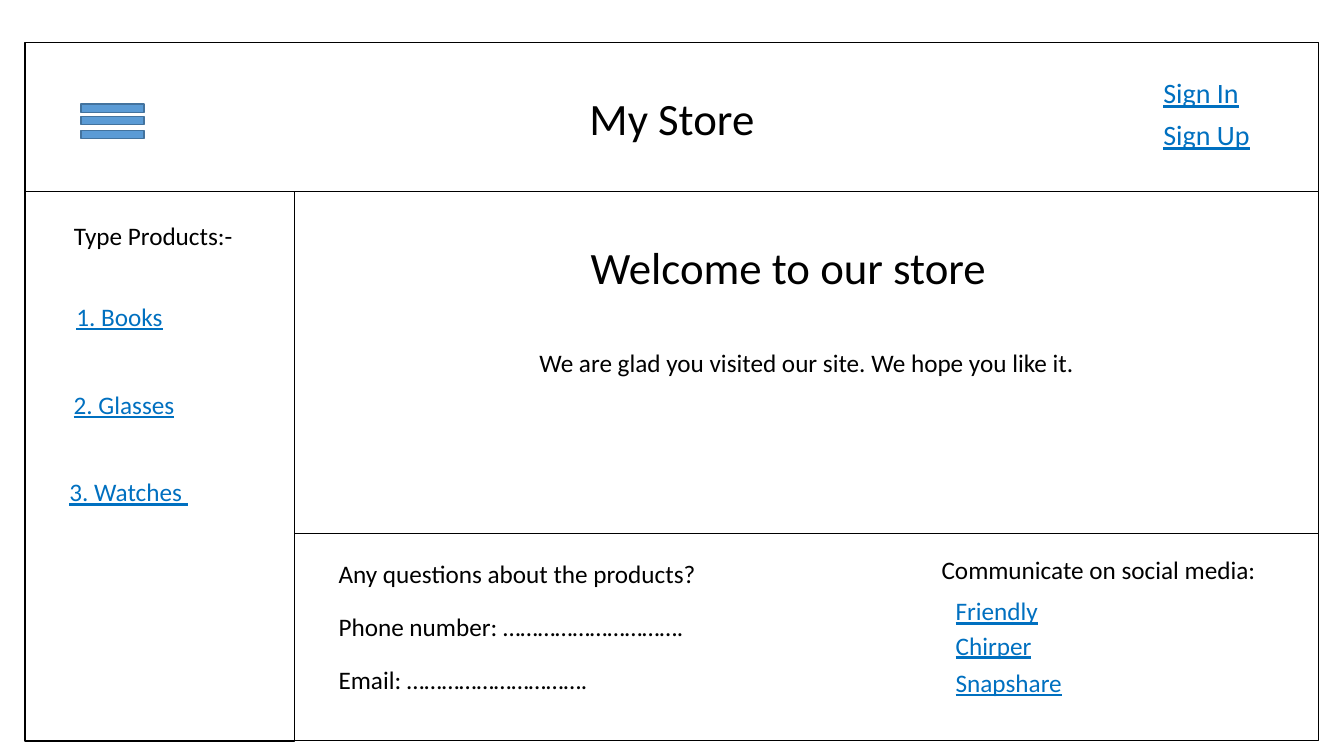
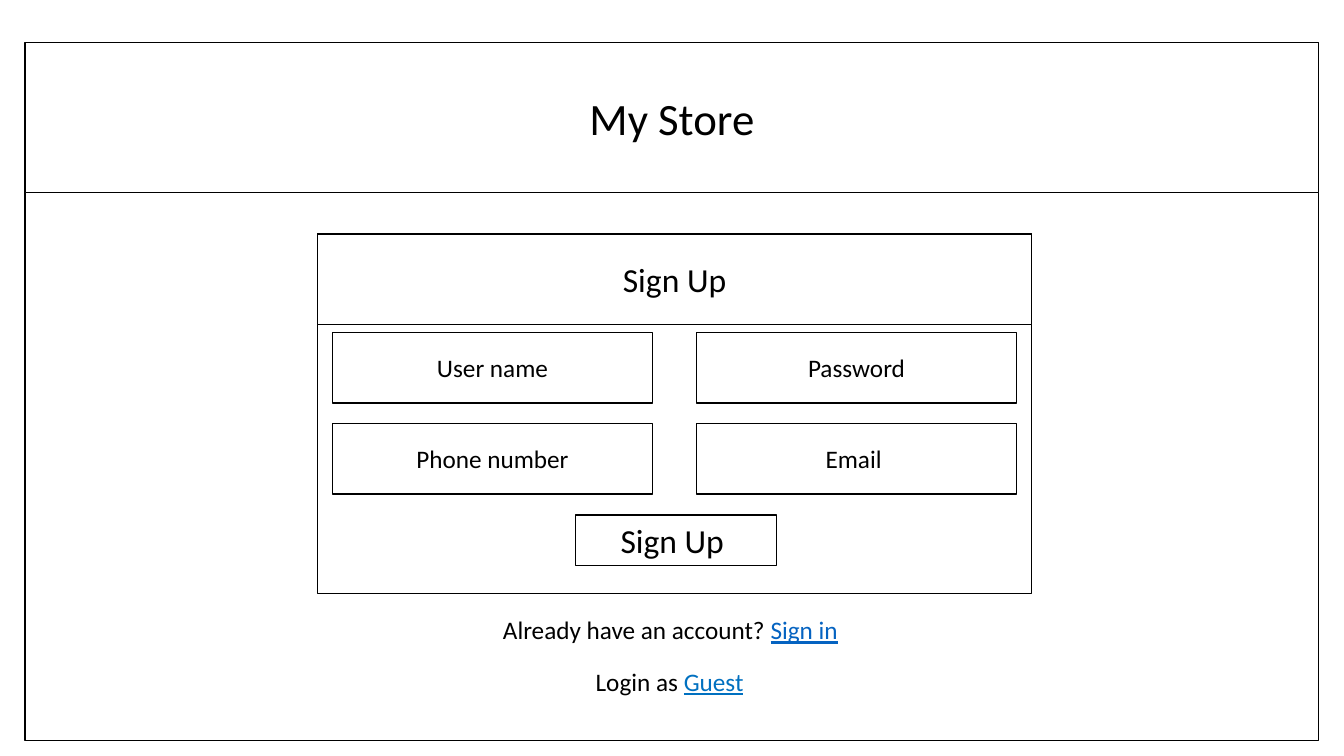
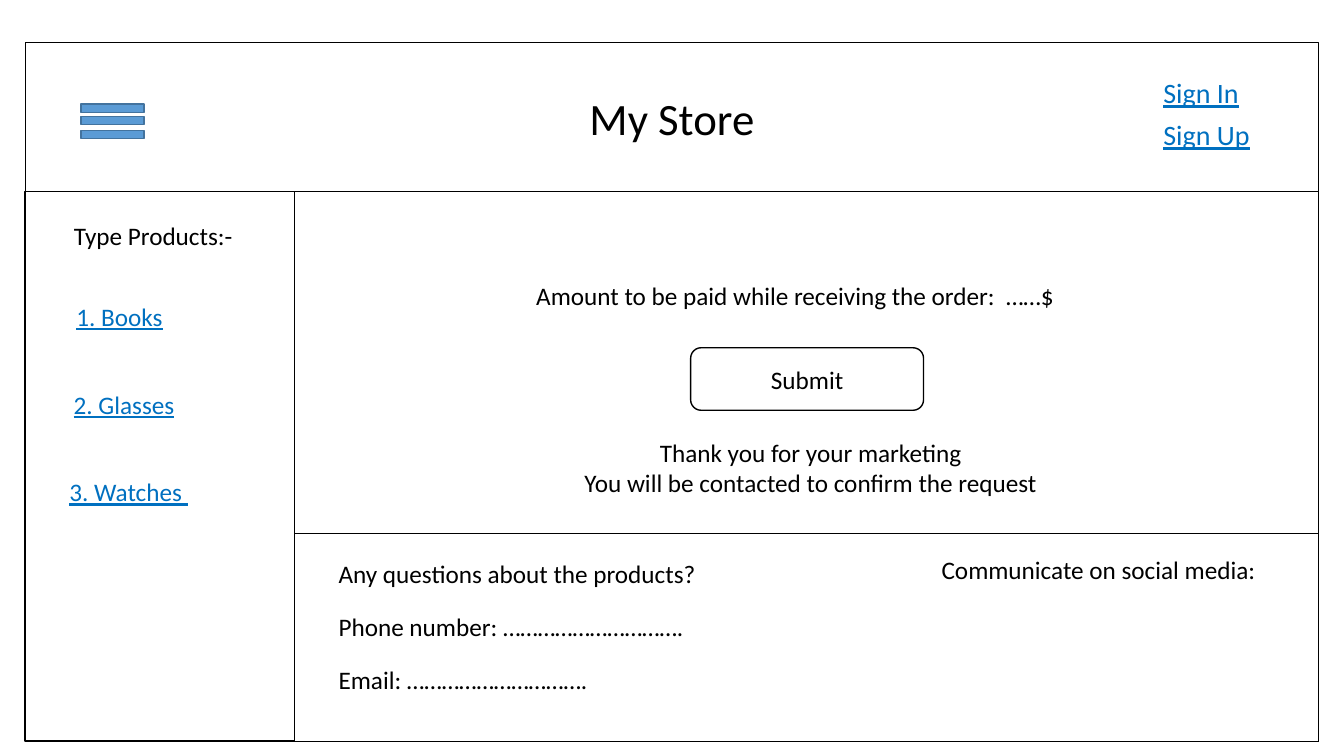
import pptx
import pptx.util
import pptx.dml.color
import pptx.enum.shapes
import pptx.enum.text
from lxml import etree

Inches, Pt = pptx.util.Inches, pptx.util.Pt
RGBColor = pptx.dml.color.RGBColor
MSO_SHAPE = pptx.enum.shapes.MSO_SHAPE
ALIGN = pptx.enum.text.PP_ALIGN
ANCHOR = pptx.enum.text.MSO_ANCHOR
AUTO_SIZE = pptx.enum.text.MSO_AUTO_SIZE

BLACK = RGBColor(0x00, 0x00, 0x00)
WHITE = RGBColor(0xFF, 0xFF, 0xFF)
LINK = RGBColor(0x00, 0x70, 0xC0)
SIGN_IN_LINK = RGBColor(0x05, 0x63, 0xC1)
ICON_FILL = RGBColor(0x5B, 0x9B, 0xD5)
ICON_LINE = RGBColor(0x43, 0x73, 0x9E)
FONT = "Calibri"

# Page grid
LEFT, TOP, WIDTH, HEIGHT = 0.25, 0.42, 12.83, 6.93
HEADER_H = 1.49
BODY_TOP, MAIN_LEFT = 1.9, 2.92
RIGHT, BOTTOM = LEFT + WIDTH, TOP + HEIGHT
MAIN_BOTTOM = 5.29


def add_box(s, x, y, w, h, text="", size=18, shape=MSO_SHAPE.RECTANGLE, fill=WHITE, line=BLACK):
    sp = s.shapes.add_shape(shape, Inches(x), Inches(y), Inches(w), Inches(h))
    sp.shadow.inherit = False
    sp.fill.solid()
    sp.fill.fore_color.rgb = fill
    sp.line.color.rgb = line
    sp.line.width = Pt(1)
    if text:
        sp.text_frame.vertical_anchor = ANCHOR.MIDDLE
        p = sp.text_frame.paragraphs[0]
        p.text, p.alignment = text, ALIGN.CENTER
        p.font.name, p.font.size, p.font.color.rgb = FONT, Pt(size), BLACK


def add_label(s, x, y, w, h, text, size=18, color=BLACK, align=ALIGN.LEFT):
    tf = s.shapes.add_textbox(Inches(x), Inches(y), Inches(w), Inches(h)).text_frame
    tf.word_wrap = True
    tf.auto_size = AUTO_SIZE.SHAPE_TO_FIT_TEXT
    tf.text = text
    for p in tf.paragraphs:
        p.alignment = align
        p.font.name, p.font.size, p.font.color.rgb = FONT, Pt(size), color
        if color == LINK:
            p.font.underline = True
    return tf.paragraphs[0]


prs = pptx.Presentation()
prs.slide_width, prs.slide_height = Inches(13.33), Inches(7.5)
home, sign_up, checkout = [prs.slides.add_slide(prs.slide_layouts[5]) for _ in range(3)]

# Page frame and header band
for s in (home, sign_up, checkout):
    if s is not checkout:
        add_box(s, LEFT, TOP, WIDTH, HEIGHT)
    sp = s.shapes.title
    s.shapes._spTree.append(sp._element)  # bring the header above the frame
    sp.left, sp.top, sp.width, sp.height = Inches(LEFT), Inches(TOP), Inches(WIDTH), Inches(HEADER_H)
    sp.fill.solid()
    sp.fill.fore_color.rgb = WHITE
    sp.line.color.rgb = BLACK
    sp.line.width = Pt(1)
    tf = sp.text_frame
    tf.text = "My Store"
    tf.auto_size = AUTO_SIZE.NONE
    tf.vertical_anchor = ANCHOR.MIDDLE
    p = tf.paragraphs[0]
    p.alignment = ALIGN.CENTER
    p.font.name, p.font.size, p.font.color.rgb = FONT, Pt(32), BLACK

# Menu icon, account links, sidebar, main panel and contacts of the store pages
for s in (home, checkout):
    for shape, y, h in ((MSO_SHAPE.MATH_EQUAL, 0.96, 0.35), (MSO_SHAPE.MATH_MINUS, 1.17, 0.33)):
        add_box(s, 0.69, y, 0.85, h, shape=shape, fill=ICON_FILL, line=ICON_LINE)
    for i, text in enumerate(("Sign In", "Sign Up")):
        add_label(s, 11.44, 0.7 + 0.42 * i, 1.54, 0.44, text, 20, LINK)

    add_box(s, LEFT, BODY_TOP, MAIN_LEFT - LEFT, BOTTOM - BODY_TOP)
    add_label(s, 0.49, 2.14, 2.06, 0.4, "Type Products:-", align=ALIGN.CENTER)
    for i, text in enumerate(("1. Books", "2. Glasses", "3. Watches ")):
        add_label(s, 0.49 + 0.045 * i, 2.94 + 0.87 * i, 1.39, 0.4, text, 18, LINK, ALIGN.CENTER)

    welcome = "We are glad you visited our site. We hope you like it." if s is home else ""
    add_box(s, MAIN_LEFT, BODY_TOP, RIGHT - MAIN_LEFT, MAIN_BOTTOM - BODY_TOP, welcome)

    contacts = ("Any questions about the products?", "Phone number: ………………………….", "Email: ………………………….")
    for i, text in enumerate(contacts):
        add_label(s, 3.26, 5.49 + 0.525 * i, 3.86, 0.4, text)
    add_label(s, 9.24, 5.45, 3.75, 0.4, "Communicate on social media:")

# Home: welcome heading and social links
add_label(home, 5.36, 2.33, 4.92, 0.64, "Welcome to our store", 32, align=ALIGN.CENTER)
for y, text in ((5.86, "Friendly"), (6.2, "Chirper"), (6.57, "Snapshare")):
    add_label(home, 9.38, y, 1.3, 0.4, text, 18, LINK)

# Sign up: form, fields and button
add_box(sign_up, 3.15, 2.32, 7.08, 3.57)
add_box(sign_up, 3.15, 2.32, 7.08, 0.9, "Sign Up", 24)
for i, text in enumerate(("User name", "Password", "Phone number", "Email ")):
    row, col = divmod(i, 2)
    add_box(sign_up, 3.3 + 3.61 * col, 3.3 + 0.9 * row, 3.17, 0.7, text)
add_box(sign_up, 5.71, 5.11, 1.99, 0.5, "Sign Up ", 24)

# Sign up: prompts ending in a link
for x, y, w, text, link, color in (
    (4.89, 6.05, 3.9, "Already have an account? ", "Sign in", SIGN_IN_LINK),
    (5.81, 6.56, 1.76, "Login as ", "Guest", LINK),
):
    r = add_label(sign_up, x, y, w, 0.4, text).add_run()
    r.text = link
    r.font.color.rgb = color
    r.font.underline = True

# Checkout: amount, button and thanks
add_label(checkout, 5.22, 2.73, 5.64, 0.4, "Amount to be paid while receiving the order:  ……$")
add_box(checkout, 6.85, 3.45, 2.31, 0.62, "Submit", shape=MSO_SHAPE.ROUNDED_RECTANGLE)
add_label(checkout, 5.67, 4.29, 4.74, 0.71,
          "Thank you for your marketing\nYou will be contacted to confirm the request", align=ALIGN.CENTER)

# Checkout: bottom and right edges of the contact area
for x1, y1, x2, y2 in ((MAIN_LEFT, BOTTOM, RIGHT, BOTTOM), (RIGHT, BOTTOM, RIGHT, MAIN_BOTTOM)):
    line = checkout.shapes.add_connector(
        pptx.enum.shapes.MSO_CONNECTOR.STRAIGHT, Inches(x1), Inches(y1), Inches(x2), Inches(y2))
    line.line.color.rgb = BLACK
    line.line.width = Pt(0.5)
    etree.SubElement(line._element.spPr, "{http://schemas.openxmlformats.org/drawingml/2006/main}effectLst")

prs.save("out.pptx")
